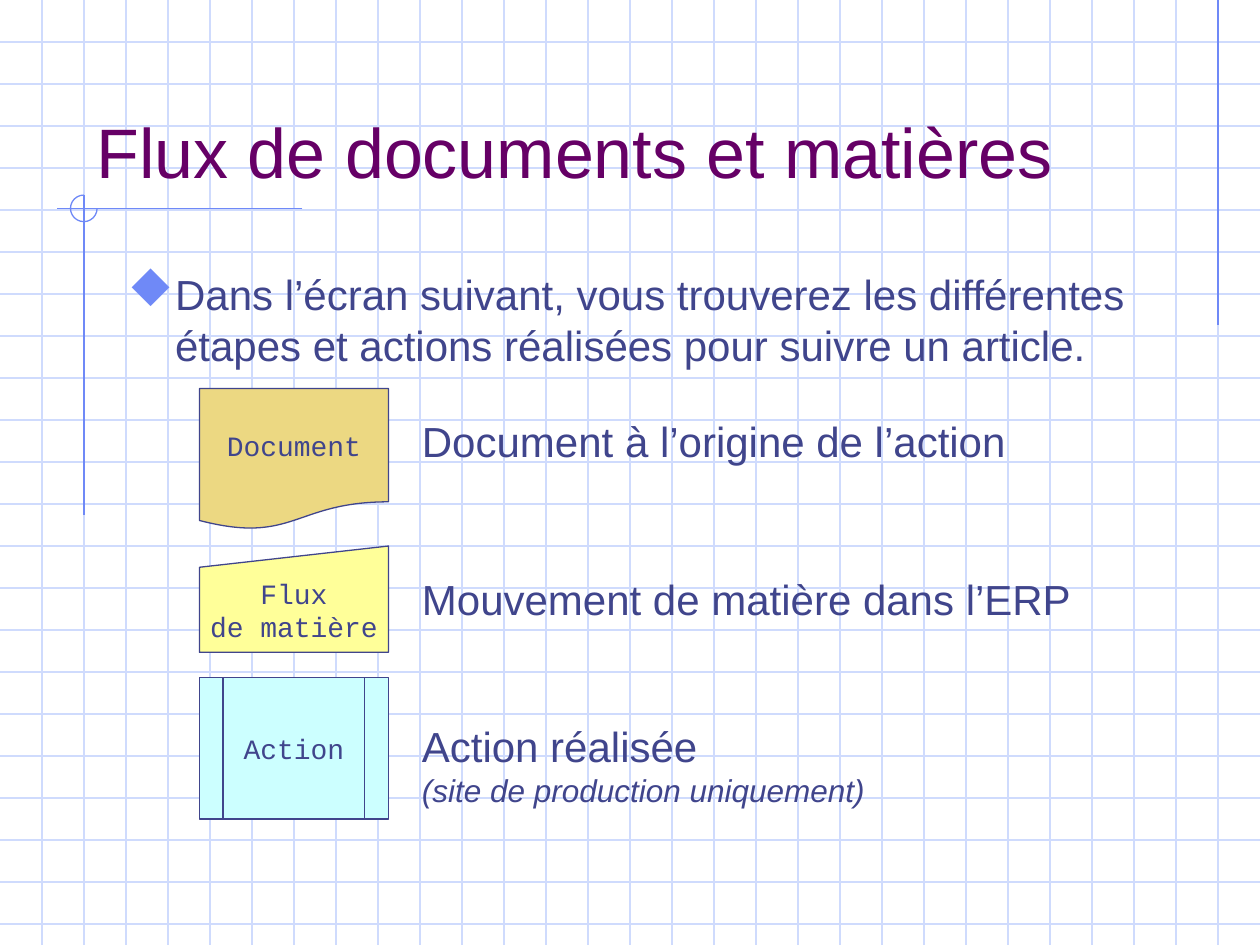
import pptx
import pptx.util
import pptx.dml.color
import pptx.enum.shapes
import pptx.enum.text
from lxml import etree

Pt = pptx.util.Pt
Shape = pptx.enum.shapes.MSO_SHAPE
Align = pptx.enum.text.PP_ALIGN
Anchor = pptx.enum.text.MSO_ANCHOR

WIDTH, HEIGHT, GRID_STEP = 720, 540, 24
GRID, ACCENT, INK, PLUM = "CFDBFD", "6F89F7", "40458C", "660066"

TITLE = "Flux de documents et matières"
INTRO = ("Dans l’écran suivant, vous trouverez les différentes étapes "
         "et actions réalisées pour suivre un article.")
ACCENT_LINES = [
    (696, 0, 696, 186),
    (172.8, 119.2, 32.4, 119.2),
    (48, 111.6, 48, 294.5),
]
LEGEND = [
    {"symbol": Shape.FLOWCHART_DOCUMENT, "fill": "ECD882", "top": 222, "height": 80.75,
     "label": ["Document"], "meaning_top": 234, "meaning_height": 36,
     "meaning": [("Document à l’origine de l’action", 24, False)]},
    {"symbol": Shape.FLOWCHART_MANUAL_INPUT, "fill": "FFFF99", "top": 312, "height": 60.75,
     "label": ["Flux", "de matière"], "meaning_top": 324, "meaning_height": 36,
     "meaning": [("Mouvement de matière dans l’ERP", 24, False)]},
    {"symbol": Shape.FLOWCHART_PREDEFINED_PROCESS, "fill": "CCFFFF", "top": 387.25, "height": 80.75,
     "label": ["Action"], "meaning_top": 408, "meaning_height": 57.6,
     "meaning": [("Action réalisée", 24, False),
                 ("(site de production uniquement)", 18, True)]},
]
SYMBOL_LEFT, SYMBOL_WIDTH = 114, 108
MEANING_LEFT, MEANING_WIDTH = 234, 414


def color(hex_code):
    return pptx.dml.color.RGBColor.from_string(hex_code)


def outline(line, hex_code):
    line.color.rgb = color(hex_code)
    line.width = Pt(0.75)


def draw_line(slide, x1, y1, x2, y2, hex_code):
    connector = slide.shapes.add_connector(
        pptx.enum.shapes.MSO_CONNECTOR.STRAIGHT, Pt(x1), Pt(y1), Pt(x2), Pt(y2))
    outline(connector.line, hex_code)
    etree.SubElement(connector._element.spPr, pptx.oxml.ns.qn("a:effectLst"))


def draw_shape(slide, preset, left, top, width, height, fill=None, line=INK):
    shape = slide.shapes.add_shape(preset, Pt(left), Pt(top), Pt(width), Pt(height))
    shape.shadow.inherit = False
    if fill:
        shape.fill.solid()
        shape.fill.fore_color.rgb = color(fill)
    else:
        shape.fill.background()
    outline(shape.line, line)
    return shape


def write_lines(paragraph, lines, font_name, hex_code):
    for index, (text, size, italic) in enumerate(lines):
        if index:
            paragraph.add_line_break()
        run = paragraph.add_run()
        run.text = text
        run.font.name = font_name
        run.font.size = Pt(size)
        run.font.italic = italic
        run.font.color.rgb = color(hex_code)


def text_box(slide, left, top, width, height, lines, hex_code=INK, anchor=Anchor.TOP):
    frame = slide.shapes.add_textbox(Pt(left), Pt(top), Pt(width), Pt(height)).text_frame
    frame.word_wrap = True
    frame.vertical_anchor = anchor
    write_lines(frame.paragraphs[0], lines, "Arial", hex_code)
    return frame.paragraphs[0]


def add_diamond_bullet(paragraph, hex_code, percent, indent):
    properties = paragraph._p.get_or_add_pPr()
    properties.set("marL", str(Pt(indent)))
    properties.set("indent", str(-Pt(indent)))
    bullet_color = etree.SubElement(properties, pptx.oxml.ns.qn("a:buClr"))
    etree.SubElement(bullet_color, pptx.oxml.ns.qn("a:srgbClr"), val=hex_code)
    etree.SubElement(properties, pptx.oxml.ns.qn("a:buSzPct"), val=str(percent * 1000))
    etree.SubElement(properties, pptx.oxml.ns.qn("a:buFont"),
                     typeface="Wingdings", pitchFamily="2", charset="2")
    etree.SubElement(properties, pptx.oxml.ns.qn("a:buChar"), char="u")


def main():
    deck = pptx.Presentation()
    deck.slide_width, deck.slide_height = Pt(WIDTH), Pt(HEIGHT)
    slide = deck.slides.add_slide(deck.slide_layouts[6])

    for y in range(GRID_STEP, HEIGHT, GRID_STEP):
        draw_line(slide, 0, y, WIDTH, y, GRID)
    for x in range(GRID_STEP, WIDTH, GRID_STEP):
        draw_line(slide, x, 0, x, HEIGHT, GRID)
    for ends in ACCENT_LINES:
        draw_line(slide, *ends, ACCENT)
    ring = draw_shape(slide, Shape.ARC, 40.3, 111.5, 15.2, 15.2, line=ACCENT)
    ring.adjustments[0] = 0
    ring.adjustments[1] = 270 * 0.6

    text_box(slide, 48, 24, 612, 89.5, [(TITLE, 40, False)], PLUM, Anchor.BOTTOM)
    intro = text_box(slide, 66, 150, 612, 324, [(INTRO, 24, False)])
    add_diamond_bullet(intro, ACCENT, 110, 27)

    for entry in LEGEND:
        symbol = draw_shape(slide, entry["symbol"], SYMBOL_LEFT, entry["top"],
                            SYMBOL_WIDTH, entry["height"], entry["fill"])
        frame = symbol.text_frame
        frame.word_wrap = False
        frame.vertical_anchor = Anchor.MIDDLE
        frame.paragraphs[0].alignment = Align.CENTER
        label = [(text, 16, False) for text in entry["label"]]
        write_lines(frame.paragraphs[0], label, "Courier New", INK)
        text_box(slide, MEANING_LEFT, entry["meaning_top"], MEANING_WIDTH,
                 entry["meaning_height"], entry["meaning"])

    deck.save("out.pptx")


if __name__ == "__main__":
    main()
